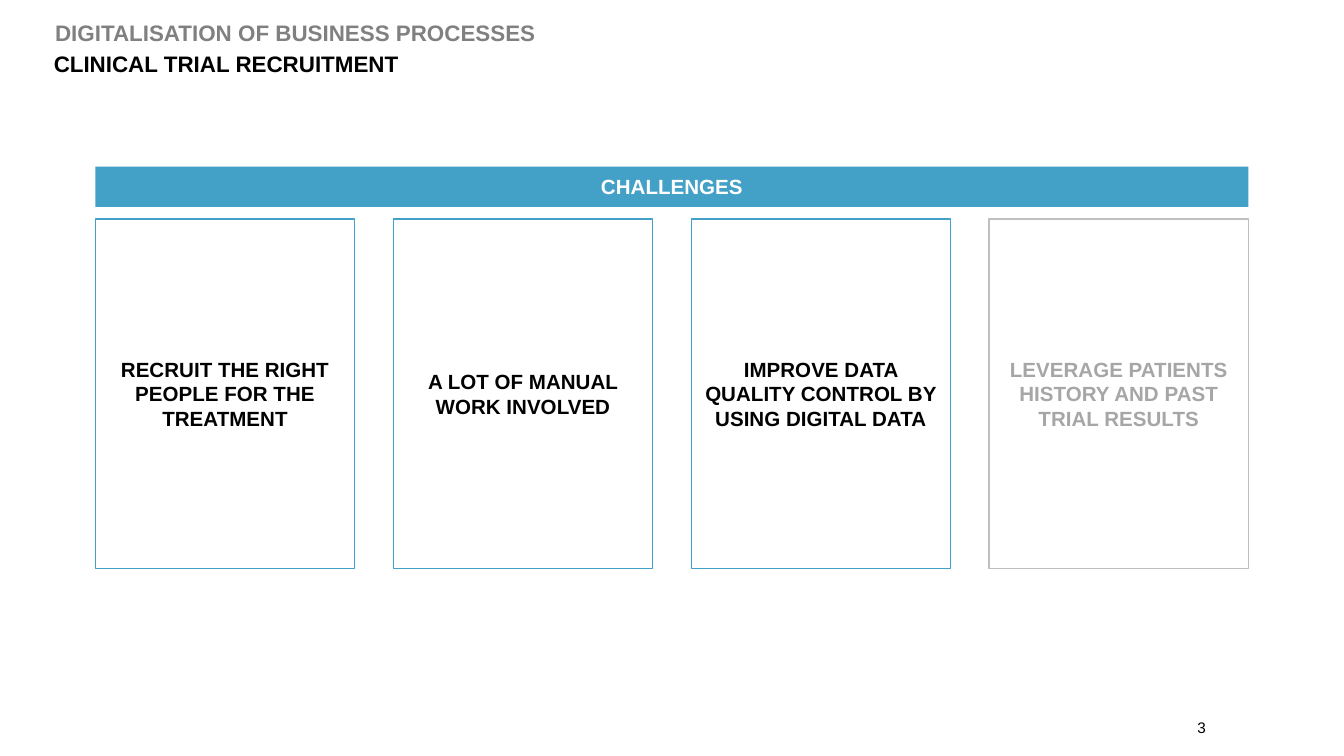
from pptx import Presentation
from pptx.dml.color import RGBColor
from pptx.enum.shapes import MSO_SHAPE
from pptx.enum.text import MSO_ANCHOR, PP_ALIGN
from pptx.util import Inches, Pt

RECT = MSO_SHAPE.RECTANGLE
TOP, MIDDLE, BOTTOM = MSO_ANCHOR.TOP, MSO_ANCHOR.MIDDLE, MSO_ANCHOR.BOTTOM
LEFT, CENTER = PP_ALIGN.LEFT, PP_ALIGN.CENTER

BLUE = RGBColor(0x43, 0xA1, 0xC7)
BLACK = RGBColor(0x00, 0x00, 0x00)
WHITE = RGBColor(0xFF, 0xFF, 0xFF)
TITLE_GRAY = RGBColor(0x80, 0x80, 0x80)
MUTED_LINE = RGBColor(0xBF, 0xBF, 0xBF)
MUTED_TEXT = RGBColor(0xA6, 0xA6, 0xA6)

# Card grid, in inches
GRID_LEFT, GRID_WIDTH = 0.71, 8.58
CARD_WIDTH = 1.93

CHALLENGES = [
    ("RECRUIT THE RIGHT PEOPLE FOR THE TREATMENT", BLUE, BLACK),
    ("A LOT OF MANUAL WORK INVOLVED", BLUE, BLACK),
    ("IMPROVE DATA QUALITY CONTROL BY USING DIGITAL DATA", BLUE, BLACK),
    ("LEVERAGE PATIENTS HISTORY AND PAST TRIAL RESULTS", MUTED_LINE, MUTED_TEXT),
]


def write(sp, text, size=11, color=BLACK, bold=True, align=CENTER,
          anchor=MIDDLE, inset=0.08):
    tf = sp.text_frame
    tf.word_wrap = True
    tf.vertical_anchor = anchor
    tf.margin_left = tf.margin_right = Inches(inset)
    tf.margin_top = tf.margin_bottom = Inches(inset / 2)
    p = tf.paragraphs[0]
    p.alignment = align
    r = p.add_run()
    r.text = text
    r.font.name = "Arial"
    r.font.size = Pt(size)
    r.font.bold = bold
    r.font.color.rgb = color


def add_label(slide, box, text, **fmt):
    sp = slide.shapes.add_textbox(*map(Inches, box))
    write(sp, text, align=LEFT, inset=0, **fmt)


def add_box(slide, box, text, fill=None, line=None, **fmt):
    sp = slide.shapes.add_shape(RECT, *map(Inches, box))
    sp.shadow.inherit = False
    if fill is None:
        sp.fill.background()
    else:
        sp.fill.solid()
        sp.fill.fore_color.rgb = fill
    if line is None:
        sp.line.fill.background()
    else:
        sp.line.color.rgb = line
        sp.line.width = Pt(0.75)
    write(sp, text, **fmt)


def main():
    # Widescreen 16:9 slide
    prs = Presentation()
    prs.slide_width = Inches(10)
    prs.slide_height = prs.slide_width * 9 // 16
    slide = prs.slides.add_slide(prs.slide_layouts[6])

    # Page number
    add_label(slide, (8.91, 5.35, 0.81, 0.13), "3", size=8.2, bold=False,
              anchor=BOTTOM)

    # Headings
    add_label(slide, (0.41, 0.14, 9.31, 0.2), "DIGITALISATION OF BUSINESS PROCESSES",
              size=12, color=TITLE_GRAY, anchor=TOP)
    add_label(slide, (0.4, 0.37, 4.12, 0.2), "CLINICAL TRIAL RECRUITMENT",
              size=12, anchor=TOP)

    # Banner over the cards
    add_box(slide, (GRID_LEFT, 1.24, GRID_WIDTH, 0.3), "CHALLENGES",
            fill=BLUE, color=WHITE)

    # Evenly spaced cards, flush with the banner
    step = (GRID_WIDTH - CARD_WIDTH) / (len(CHALLENGES) - 1)
    for i, (text, line, color) in enumerate(CHALLENGES):
        add_box(slide, (GRID_LEFT + i * step, 1.63, CARD_WIDTH, 2.6), text,
                line=line, color=color)

    prs.save("out.pptx")


if __name__ == "__main__":
    main()
